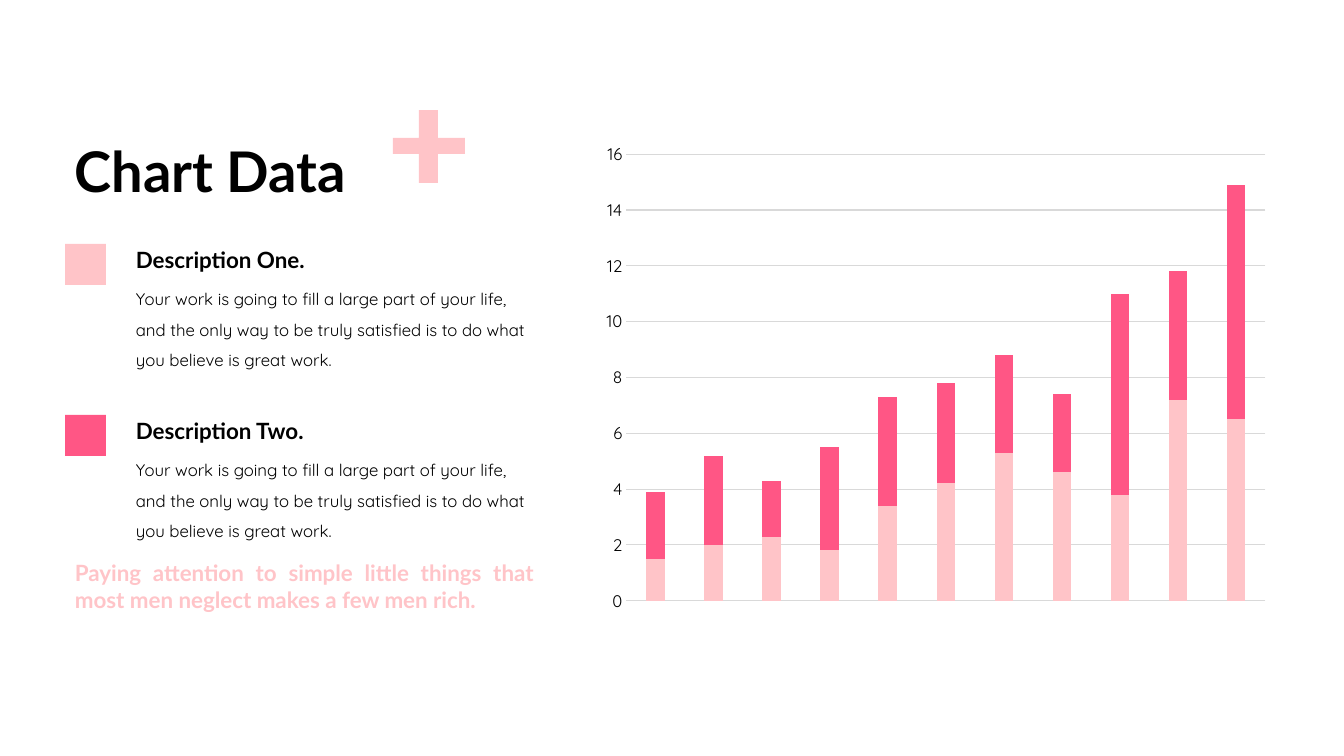
from pptx import Presentation, util as u
from pptx.chart.data import CategoryChartData
from pptx.dml.color import RGBColor
from pptx.enum import chart as ch, shapes, text

HUE = {"pale": "FFC4C8", "hot": "FF5685", "ink": "000000", "grid": "D9D9D9"}
TITLE = "Chart Data"
QUOTE = "Paying attention to simple little things that most men neglect makes a few men rich."
BODY = ("Your work is going to fill a large part of your life, "
        "and the only way to be truly satisfied is to do what you believe is great work.")
NOTES = [("Description One.", BODY, "pale"), ("Description Two.", BODY, "hot")]
SERIES = [
    ("Series 1", "pale", (1.5, 2, 2.3, 1.8, 3.4, 4.2, 5.3, 4.6, 3.8, 7.2, 6.5)),
    ("Series 2", "hot", (2.4, 3.2, 2, 3.7, 3.9, 3.6, 3.5, 2.8, 7.2, 4.6, 8.4)),
]
PLUS = [(419, 110), (438, 110), (438, 138), (465, 138), (465, 154), (438, 154),
        (438, 183), (419, 183), (419, 154), (393, 154), (393, 138), (419, 138)]
SCALE = 914400 / 100.8
LEFT, INDENT, TOP, STEP = 65, 126, 244, 171


def px(*vals):
    return [u.Emu(round(v * SCALE)) for v in vals]


def rgb(name):
    return RGBColor.from_string(HUE[name])


def paint(shape, hue):
    shape.shadow.inherit = False
    shape.fill.solid()
    shape.fill.fore_color.rgb = rgb(hue)
    shape.line.fill.background()


def style(font, face, size, hue="ink", bold=False):
    font.name, font.size, font.bold = face, u.Pt(size), bold
    font.color.rgb = rgb(hue)


def write(slide, box, words, face, size, hue="ink", bold=False,
          space=1.0, align=text.PP_ALIGN.LEFT, anchor=text.MSO_ANCHOR.TOP):
    frame = slide.shapes.add_textbox(*px(*box)).text_frame
    frame.word_wrap = True
    frame.vertical_anchor = anchor
    para = frame.paragraphs[0]
    para.text, para.line_spacing, para.alignment = words, space, align
    style(para.font, face, size, hue, bold)


def draw_chart(slide):
    data = CategoryChartData()
    data.categories = [str(n + 1) for n in range(len(SERIES[0][2]))]
    for name, _, vals in SERIES:
        data.add_series(name, vals)
    chart = slide.shapes.add_chart(
        ch.XL_CHART_TYPE.COLUMN_STACKED, *px(593, 134, 686, 487), data).chart
    chart.has_legend = chart.has_title = False
    style(chart.font, "Quicksand", 10)
    plot = chart.plots[0]
    plot.gap_width, plot.overlap, plot.vary_by_categories = 215, 100, False
    for bars, (_, hue, _) in zip(plot.series, SERIES):
        bars.format.fill.solid()
        bars.format.fill.fore_color.rgb = rgb(hue)
    chart.category_axis.visible = False
    axis = chart.value_axis
    axis.minimum_scale, axis.maximum_scale, axis.major_unit = 0, 16, 2
    axis.major_tick_mark = axis.minor_tick_mark = ch.XL_TICK_MARK.NONE
    axis.format.line.fill.background()
    style(axis.tick_labels.font, "Quicksand", 12)
    grid = axis.major_gridlines.format.line
    grid.width = u.Pt(0.75)
    grid.color.rgb = rgb("grid")


def main():
    deck = Presentation()
    deck.slide_width, deck.slide_height = px(1344, 756)
    slide = deck.slides.add_slide(deck.slide_layouts[6])
    pen = slide.shapes.build_freeform(*PLUS[0], scale=SCALE)
    pen.add_line_segments(PLUS[1:], close=True)
    paint(pen.convert_to_shape(), "pale")
    draw_chart(slide)
    for row, (head, body, hue) in enumerate(NOTES):
        top = TOP + row * STEP
        key = slide.shapes.add_shape(
            shapes.MSO_SHAPE.RECTANGLE, *px(LEFT, top, 41, 41))
        paint(key, hue)
        write(slide, (INDENT, top - 3, 211, 37), head, "Lato", 16, bold=True)
        write(slide, (INDENT, top + 30, 418, 100), body, "Quicksand", 12, space=1.5)
    write(slide, (LEFT, 554, 479, 65), QUOTE, "Lato", 16, "pale", True,
          align=text.PP_ALIGN.JUSTIFY)
    write(slide, (LEFT, 101, 512, 146), TITLE, "Lato", 40, bold=True,
          space=0.9, anchor=text.MSO_ANCHOR.MIDDLE)
    deck.save("out.pptx")


if __name__ == "__main__":
    main()
